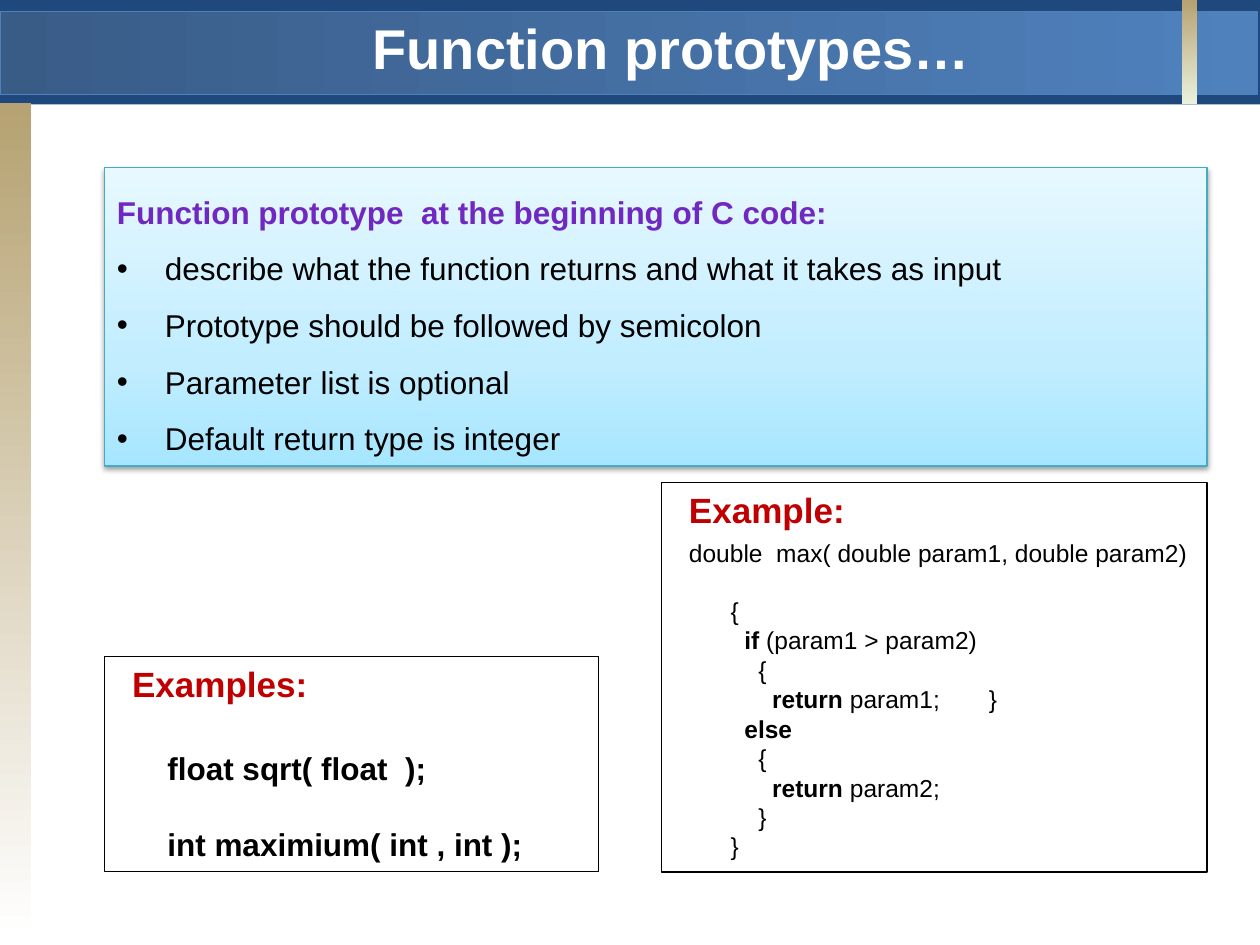
from typing import NamedTuple

from lxml import etree
from pptx import Presentation
from pptx.dml.color import RGBColor
from pptx.enum.shapes import MSO_SHAPE
from pptx.enum.text import MSO_ANCHOR, PP_ALIGN
from pptx.oxml.ns import qn
from pptx.util import Inches, Pt

RECT = MSO_SHAPE.RECTANGLE
TOP, MIDDLE = MSO_ANCHOR.TOP, MSO_ANCHOR.MIDDLE
LEFT, CENTER, JUSTIFY = PP_ALIGN.LEFT, PP_ALIGN.CENTER, PP_ALIGN.JUSTIFY

FONT = "Arial"
BLACK, WHITE, RED, PURPLE = "000000", "FFFFFF", "C00000", "7028C0"
NAVY, BLUE, TAN, TEAL = "1F497D", "4F81BD", "B6A272", "46AAC5"


class Box(NamedTuple):
    left: float
    top: float
    width: float
    height: float
    fill: str | None = None
    stops: tuple = ()  # (position in percent, colour)
    angle: int = 0     # degrees, clockwise
    line: str | None = None


class Run(NamedTuple):
    text: str
    bold: bool = False


class Para(NamedTuple):
    runs: tuple
    size: float
    color: str = BLACK
    align: PP_ALIGN = LEFT
    margin: float = 0
    indent: float = 0
    before: float = 0
    spacing: float = 1
    bullet: bool = False
    tab: float | None = None


def rgb(color: str) -> RGBColor:
    return RGBColor.from_string(color)


def sub(parent, tag: str, **attrs):
    return etree.SubElement(parent, qn(tag), {k: str(v) for k, v in attrs.items()})


def add_box(s, box: Box):
    sp = s.shapes.add_shape(RECT, *map(Inches, box[:4]))
    sp.shadow.inherit = False
    if box.stops:
        sp.fill.gradient()
        grad = sp.fill._xPr.find(qn("a:gradFill"))
        for child in list(grad):
            grad.remove(child)
        stop_list = sub(grad, "a:gsLst")
        for pos, color in box.stops:
            sub(sub(stop_list, "a:gs", pos=pos * 1000), "a:srgbClr", val=color)
        sub(grad, "a:lin", ang=box.angle * 60000, scaled=0)
    elif box.fill:
        sp.fill.solid()
        sp.fill.fore_color.rgb = rgb(box.fill)
    else:
        sp.fill.background()
    if box.line:
        sp.line.color.rgb = rgb(box.line)
        sp.line.width = Pt(0.75)
    else:
        sp.line.fill.background()
    return sp


def add_shadow(sp) -> None:
    effects = sp._element.spPr.find(qn("a:effectLst"))
    shadow = sub(effects, "a:outerShdw", blurRad=Pt(3.1), dist=Pt(1.6),
                 dir=90 * 60000, rotWithShape=0)
    sub(sub(shadow, "a:srgbClr", val=BLACK), "a:alpha", val=38000)


def write(sp, paras: list[Para], anchor: MSO_ANCHOR = TOP) -> None:
    tf = sp.text_frame
    tf.word_wrap = True
    tf.vertical_anchor = anchor
    for i, para in enumerate(paras):
        p = tf.add_paragraph() if i else tf.paragraphs[0]
        p.alignment = para.align
        p.space_before = Pt(para.before)
        p.line_spacing = para.spacing
        pPr = p._p.get_or_add_pPr()
        pPr.set("marL", str(Inches(para.margin)))
        pPr.set("indent", str(Inches(para.indent)))
        if para.bullet:
            sub(pPr, "a:buFont", typeface=FONT)
            sub(pPr, "a:buChar", char="•")
        if para.tab:
            sub(sub(pPr, "a:tabLst"), "a:tab", pos=Inches(para.tab), algn="l")
        for run in para.runs:
            r = p.add_run()
            r.text = run.text
            r.font.name = FONT
            r.font.size = Pt(para.size)
            r.font.bold = run.bold
            r.font.color.rgb = rgb(para.color)


def heading(text: str) -> Para:
    return Para((Run(text, True),), 20, RED, JUSTIFY, 0.4, -0.28, 4)


def code(level: int, *runs: Run, before: float = 0, tab: float | None = None) -> Para:
    return Para(runs, 14, indent=0.45 + 0.11 * level, before=before, tab=tab)


prs = Presentation()
prs.slide_width, prs.slide_height = Inches(10), Inches(7.5)
s = prs.slides.add_slide(prs.slide_layouts[6])

# Header band and side bar
for box in (
    Box(0, 0, 10, 0.83, NAVY),
    Box(0, 0.09, 9.98, 0.66, stops=((0, "395C87"), (100, BLUE)), line=BLUE),
    Box(0, 0.82, 0.25, 6.64, stops=((0, TAN), (100, WHITE)), angle=90),
    Box(9.38, 0, 0.12, 0.83, stops=((0, TAN), (100, "EBF1DE")), angle=90),
):
    add_box(s, box)

# Title
title = s.shapes.add_textbox(Inches(1.58), Inches(0.08), Inches(7.5), Inches(0.58))
write(title, [Para((Run("Function prototypes…", True),), 32, WHITE, CENTER)], MIDDLE)

# Key points
points = add_box(s, Box(0.83, 1.33, 8.75, 2.37, angle=270, line=TEAL,
                        stops=((0, "A7E6FF"), (35, "C1EDFF"), (100, "E7F8FF"))))
add_shadow(points)
intro = Para((Run("Function prototype  at the beginning of C code:", True),), 18,
             PURPLE, JUSTIFY, 0.38, -0.38, spacing=1.5)
write(points, [intro] + [
    intro._replace(runs=(Run(text),), color=BLACK, bullet=True)
    for text in (
        "describe what the function returns and what it takes as input",
        "Prototype should be followed by semicolon",
        "Parameter list is optional",
        "Default return type is integer",
    )
])

# Prototype examples
examples = add_box(s, Box(0.83, 5.21, 3.92, 1.71, line=BLACK))
write(examples, [
    heading("Examples:"),
    Para((Run("float sqrt( float  );", True),), 18, margin=0.4, before=25.5),
    Para((Run("int maximium( int , int );", True),), 18, margin=0.4, before=21.5),
])

# Function example
function = add_box(s, Box(5.25, 3.83, 4.33, 3.09, line=BLACK))
write(function, [
    heading("Example:"),
    Para((Run("double  max( double param1, double param2)"),), 14,
         margin=0.4, indent=-0.28, before=4),
    code(0, Run("{"), before=16.5),
    code(1, Run("if", True), Run(" (param1 > param2)")),
    code(2, Run("{")),
    code(3, Run("return", True), Run(" param1;\t}"), tab=2.48),
    code(1, Run("else", True)),
    code(2, Run("{")),
    code(3, Run("return", True), Run(" param2;")),
    code(2, Run("}")),
    code(0, Run("}")),
])

prs.save("out.pptx")
